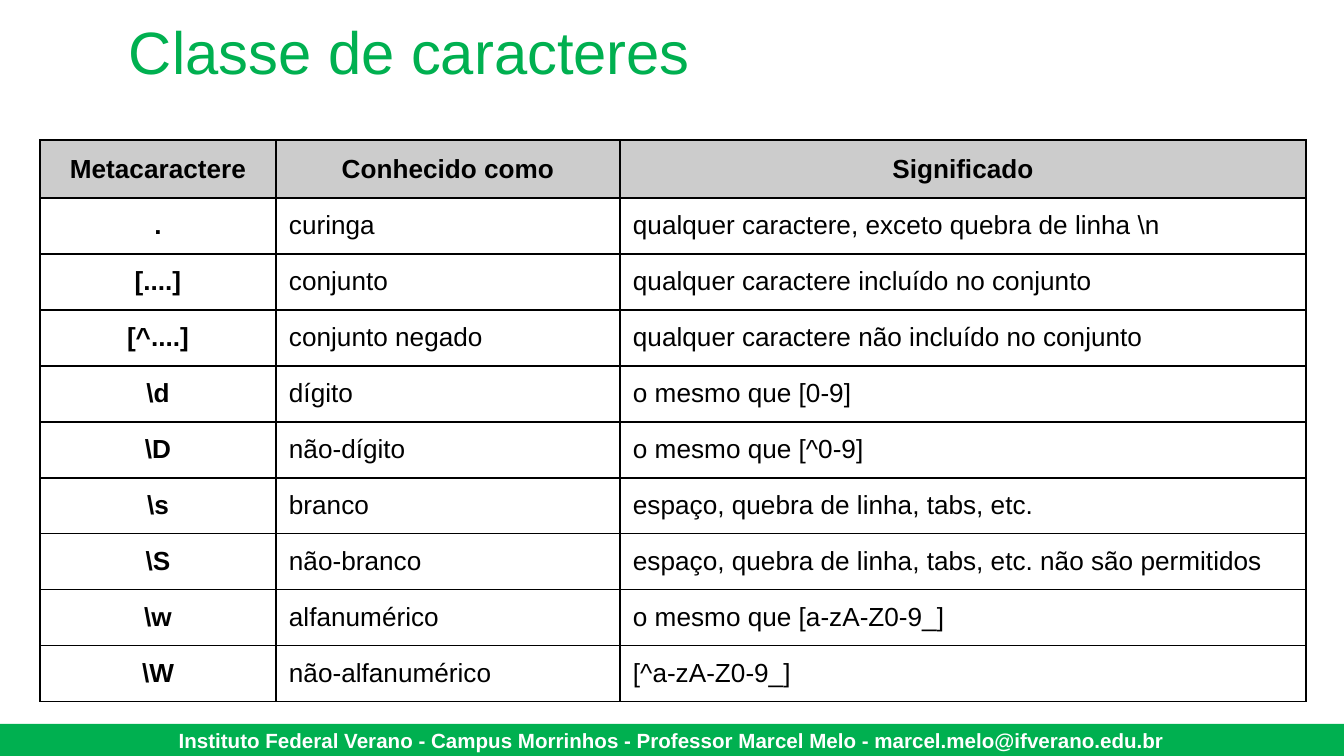
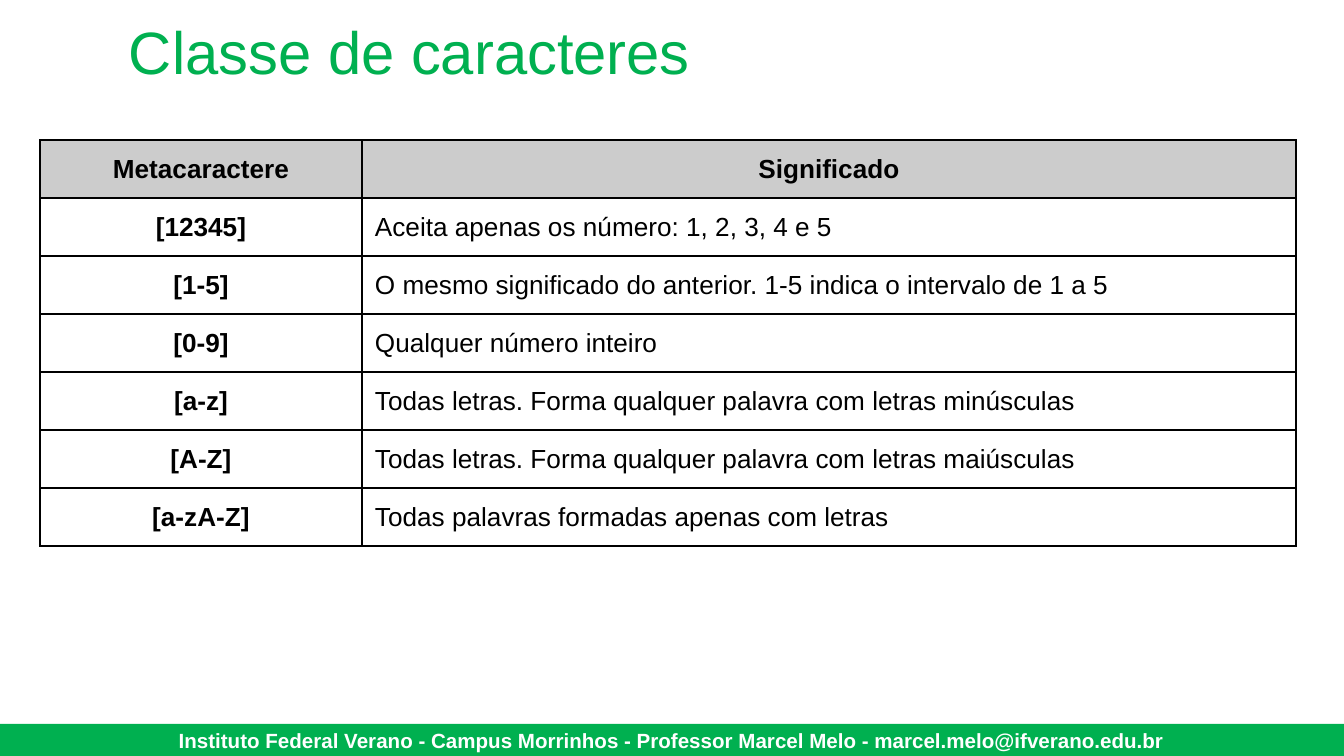
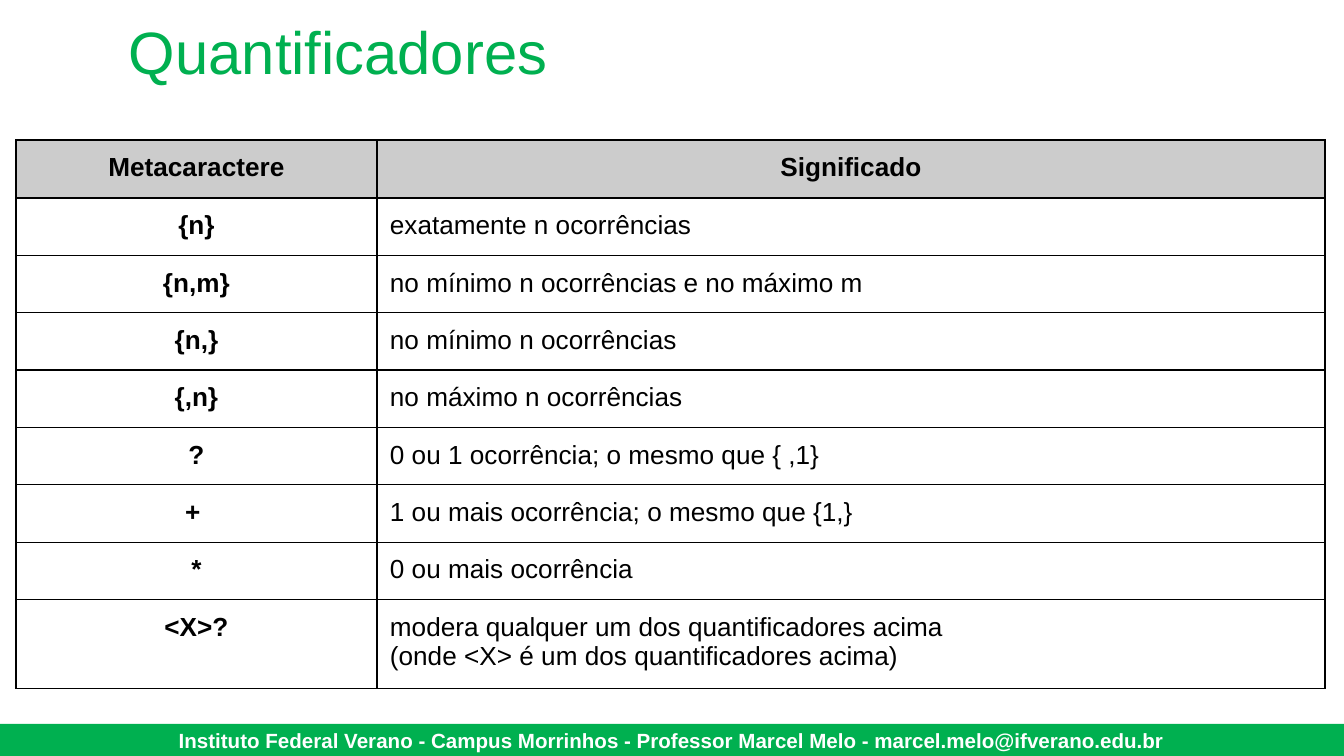
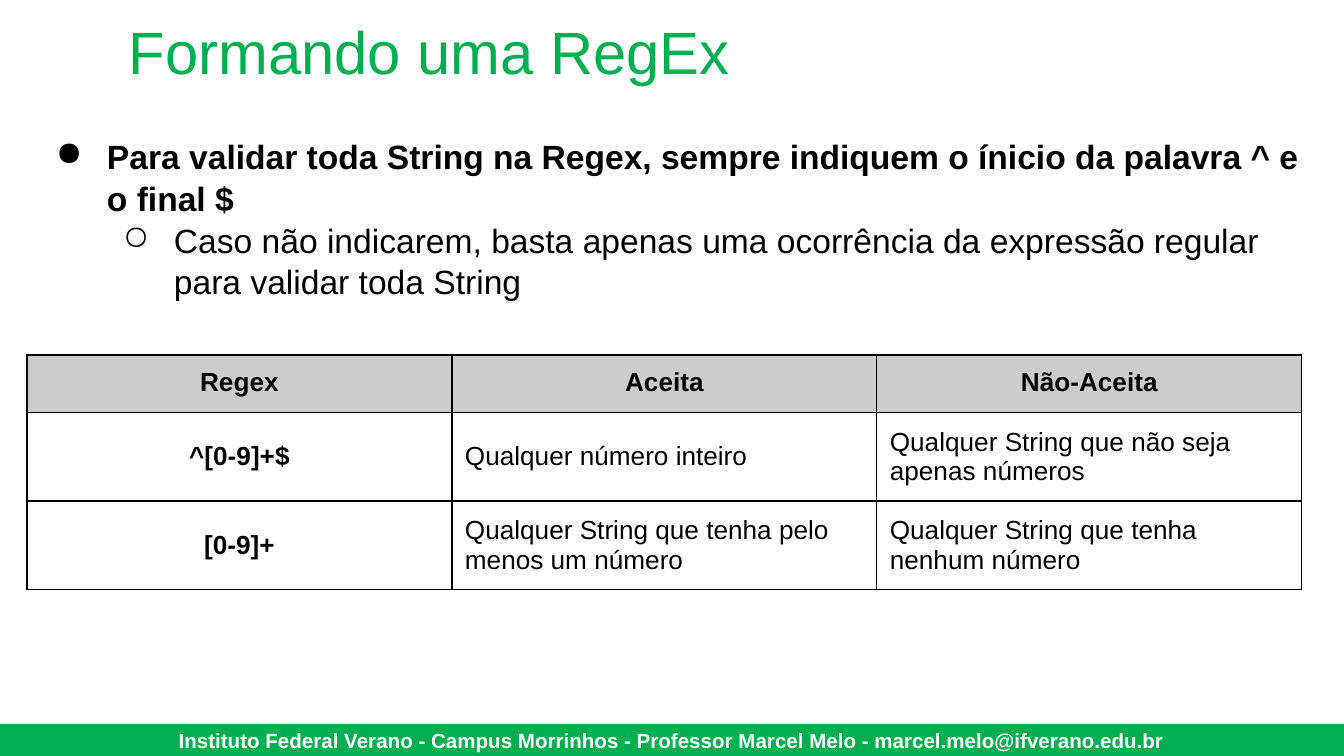
from dataclasses import dataclass

from lxml.etree import SubElement
from pptx import Presentation
from pptx.dml.color import RGBColor
from pptx.enum.shapes import MSO_SHAPE
from pptx.enum.text import MSO_ANCHOR, PP_ALIGN
from pptx.oxml.ns import qn
from pptx.util import Pt

EMU_PER_PX = 914400 / 134.4
SLIDE_W, SLIDE_H = 1344, 756
TITLE_BOX = (116, 0, 1228, 102)
FOOTER_BOX = (0, 724, SLIDE_W, 32)
BODY_BOX = (27, 121, 1290, 589)
TOP, MIDDLE = MSO_ANCHOR.TOP, MSO_ANCHOR.MIDDLE
FOOTER = ("Instituto Federal Verano - Campus Morrinhos - "
          "Professor Marcel Melo - marcel.melo@ifverano.edu.br")


@dataclass(frozen=True)
class Theme:
    font: str = "Arial"
    green: str = "00B050"
    black: str = "000000"
    white: str = "FFFFFF"
    header: str = "CCCCCC"
    title_size: int = 32
    body_size: int = 18
    table_size: int = 14
    footer_size: int = 11
    border: float = 0.75
    inset: int = 13


THEME = Theme()


@dataclass(frozen=True)
class Grid:
    """A table: its corner, column widths, row heights, text and cell look."""
    left: int
    top: int
    cols: list
    heights: list
    rows: list
    header_anchor: MSO_ANCHOR = MIDDLE
    body_anchor: MSO_ANCHOR = TOP
    body_fill: str = None


def px(n):
    return round(n * EMU_PER_PX)


def rgb(color):
    return RGBColor.from_string(color)


def set_insets(frame):
    """Give a text frame or table cell the common inner margins."""
    for side in ("left", "top", "right", "bottom"):
        setattr(frame, f"margin_{side}", px(THEME.inset))


def add_run(p, text, size, color, bold=False):
    r = p.add_run()
    r.text = text
    f = r.font
    f.name, f.size, f.bold = THEME.font, Pt(size), bold
    f.color.rgb = rgb(color)


def add_text_box(slide, box, anchor):
    tf = slide.shapes.add_textbox(*map(px, box)).text_frame
    tf.word_wrap = True
    tf.vertical_anchor = anchor
    set_insets(tf)
    return tf


def add_title(slide, text):
    tf = add_text_box(slide, TITLE_BOX, MIDDLE)
    add_run(tf.paragraphs[0], text, THEME.title_size, THEME.green)


def add_footer(slide):
    s = slide.shapes.add_shape(MSO_SHAPE.RECTANGLE, *map(px, FOOTER_BOX))
    s.shadow.inherit = False
    s.fill.solid()
    s.fill.fore_color.rgb = rgb(THEME.green)
    s.line.fill.background()
    tf = s.text_frame
    tf.word_wrap = True
    tf.vertical_anchor = MIDDLE
    set_insets(tf)
    p = tf.paragraphs[0]
    p.alignment = PP_ALIGN.CENTER
    add_run(p, FOOTER, THEME.footer_size, THEME.white, True)


def set_borders(cell):
    tc_pr = cell._tc.get_or_add_tcPr()
    for i, side in enumerate(("lnL", "lnR", "lnT", "lnB")):
        ln = tc_pr.makeelement(qn(f"a:{side}"), {"w": str(Pt(THEME.border))})
        fill = SubElement(ln, qn("a:solidFill"))
        SubElement(fill, qn("a:srgbClr"), val=THEME.black)
        tc_pr.insert(i, ln)


def fill_cell(cell, text, fill, anchor, strong, centered):
    cell.vertical_anchor = anchor
    set_insets(cell)
    if fill:
        cell.fill.solid()
        cell.fill.fore_color.rgb = rgb(fill)
    else:
        cell.fill.background()
    set_borders(cell)
    tf = cell.text_frame
    for i, line in enumerate(text.split("\n")):
        p = tf.add_paragraph() if i else tf.paragraphs[0]
        p.alignment = PP_ALIGN.CENTER if centered else PP_ALIGN.LEFT
        add_run(p, line, THEME.table_size, THEME.black, strong)


def add_grid(slide, grid):
    box = (grid.left, grid.top, sum(grid.cols), sum(grid.heights))
    table = slide.shapes.add_table(len(grid.rows), len(grid.cols),
                                   *map(px, box)).table
    table.first_row = table.horz_banding = False
    for column, width in zip(table.columns, grid.cols):
        column.width = px(width)
    for r, (row, height) in enumerate(zip(grid.rows, grid.heights)):
        table.rows[r].height = px(height)
        for c, text in enumerate(row):
            key = r == 0 or c == 0
            fill_cell(table.cell(r, c), text,
                      grid.body_fill if r else THEME.header,
                      grid.body_anchor if r else grid.header_anchor,
                      key, key)


def add_bullets(slide, box, items):
    """Write (level, mark, text) items; the first level is bold."""
    tf = add_text_box(slide, box, TOP)
    for i, (level, mark, text) in enumerate(items):
        p = tf.add_paragraph() if i else tf.paragraphs[0]
        p.level = level
        p.line_spacing = 1.04
        p.space_before = Pt(0 if level else 6)
        p_pr = p._p.get_or_add_pPr()
        p_pr.set("marL", str(px(67 * (level + 1))))
        p_pr.set("indent", str(px(-51)))
        color = SubElement(p_pr, qn("a:buClr"))
        SubElement(color, qn("a:srgbClr"), val=THEME.black)
        SubElement(p_pr, qn("a:buChar"), char=mark)
        add_run(p, text, THEME.body_size, THEME.black, level == 0)


def add_slide(prs, title, grid, bullets=()):
    slide = prs.slides.add_slide(prs.slide_layouts[6])
    add_footer(slide)
    if bullets:
        add_bullets(slide, BODY_BOX, bullets)
    add_grid(slide, grid)
    add_title(slide, title)


CLASSES = Grid(40, 140, [236, 344, 686], [58] + [56] * 9, [
    ("Metacaractere", "Conhecido como", "Significado"),
    (".", "curinga", r"qualquer caractere, exceto quebra de linha \n"),
    ("[....]", "conjunto", "qualquer caractere incluído no conjunto"),
    ("[^....]", "conjunto negado",
     "qualquer caractere não incluído no conjunto"),
    (r"\d", "dígito", "o mesmo que [0-9]"),
    (r"\D", "não-dígito", "o mesmo que [^0-9]"),
    (r"\s", "branco", "espaço, quebra de linha, tabs, etc."),
    (r"\S", "não-branco",
     "espaço, quebra de linha, tabs, etc. não são permitidos"),
    (r"\w", "alfanumérico", "o mesmo que [a-zA-Z0-9_]"),
    (r"\W", "não-alfanumérico", "[^a-zA-Z0-9_]"),
])

RANGES = Grid(40, 140, [322, 934], [58] * 7, [
    ("Metacaractere", "Significado"),
    ("[12345]", "Aceita apenas os número: 1, 2, 3, 4 e 5"),
    ("[1-5]",
     "O mesmo significado do anterior. 1-5 indica o intervalo de 1 a 5"),
    ("[0-9]", "Qualquer número inteiro"),
    ("[a-z]", "Todas letras. Forma qualquer palavra com letras minúsculas"),
    ("[A-Z]", "Todas letras. Forma qualquer palavra com letras maiúsculas"),
    ("[a-zA-Z]", "Todas palavras formadas apenas com letras"),
], body_anchor=MIDDLE, body_fill=THEME.white)

QUANTIFIERS = Grid(16, 140, [361, 948], [58] + [56] * 7 + [86], [
    ("Metacaractere", "Significado"),
    ("{n}", "exatamente n ocorrências"),
    ("{n,m}", "no mínimo n ocorrências e no máximo m"),
    ("{n,}", "no mínimo n ocorrências"),
    ("{,n}", "no máximo n ocorrências"),
    ("?", "0 ou 1 ocorrência; o mesmo que { ,1}"),
    ("+ ", "1 ou mais ocorrência; o mesmo que {1,}"),
    ("*", "0 ou mais ocorrência"),
    ("<X>?", "modera qualquer um dos quantificadores acima\n"
             "(onde <X> é um dos quantificadores acima)"),
], header_anchor=TOP)

ANCHORS = Grid(27, 355, [425] * 3, [56, 86, 86], [
    ("Regex", "Aceita", "Não-Aceita"),
    ("^[0-9]+$", "Qualquer número inteiro",
     "Qualquer String que não seja apenas números"),
    ("[0-9]+", "Qualquer String que tenha pelo menos um número",
     "Qualquer String que tenha nenhum número"),
], header_anchor=TOP, body_anchor=MIDDLE)

ANCHOR_RULES = [
    (0, "●", "Para validar toda String na Regex, sempre indiquem o ínicio "
             "da palavra ^ e o final $"),
    (1, "○", "Caso não indicarem, basta apenas uma ocorrência da expressão "
             "regular para validar toda String"),
]


def main():
    prs = Presentation()
    prs.slide_width, prs.slide_height = px(SLIDE_W), px(SLIDE_H)
    add_slide(prs, "Classe de caracteres", CLASSES)
    add_slide(prs, "Classe de caracteres", RANGES)
    add_slide(prs, "Quantificadores", QUANTIFIERS)
    add_slide(prs, "Formando uma RegEx", ANCHORS, ANCHOR_RULES)
    prs.save("out.pptx")


if __name__ == "__main__":
    main()
